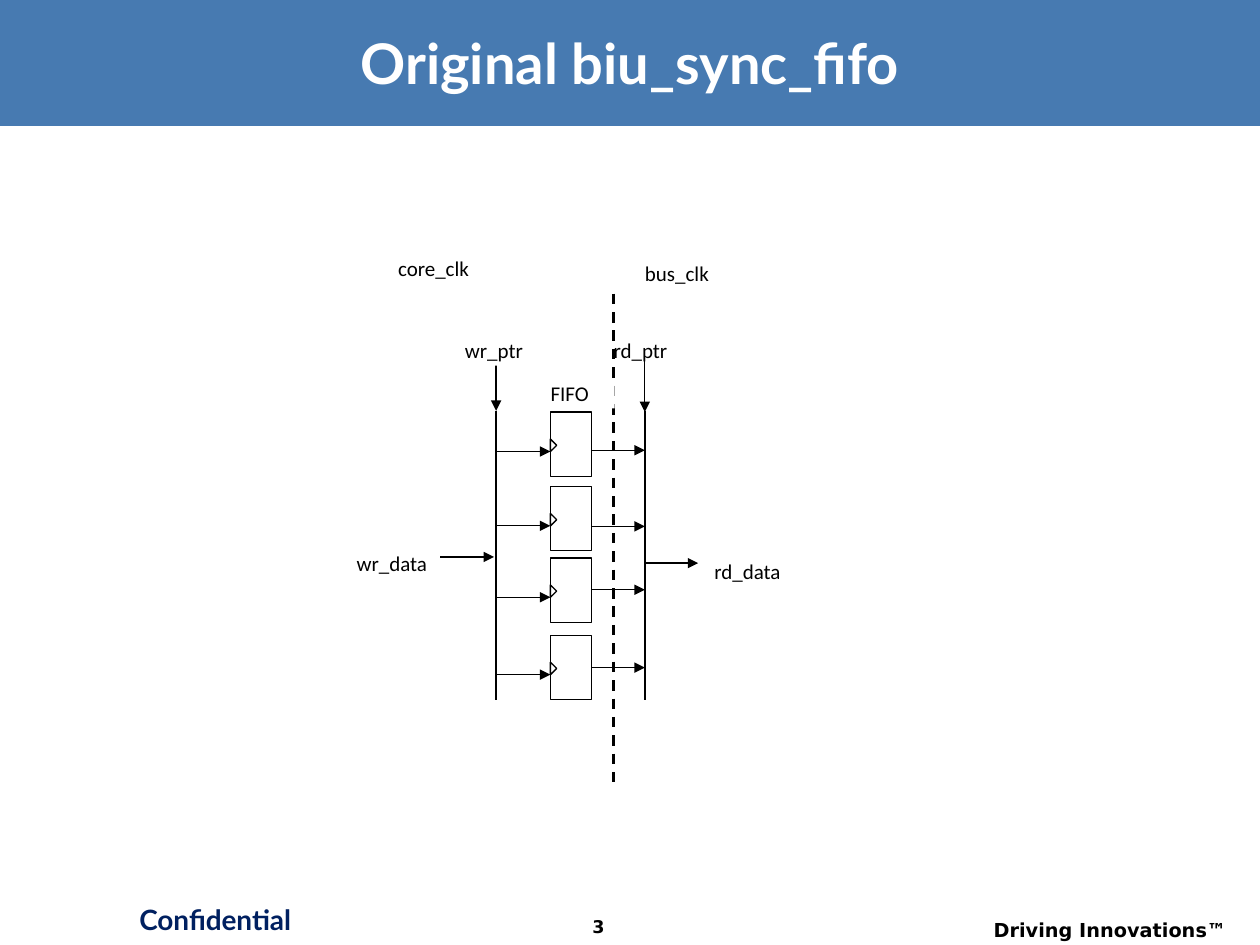
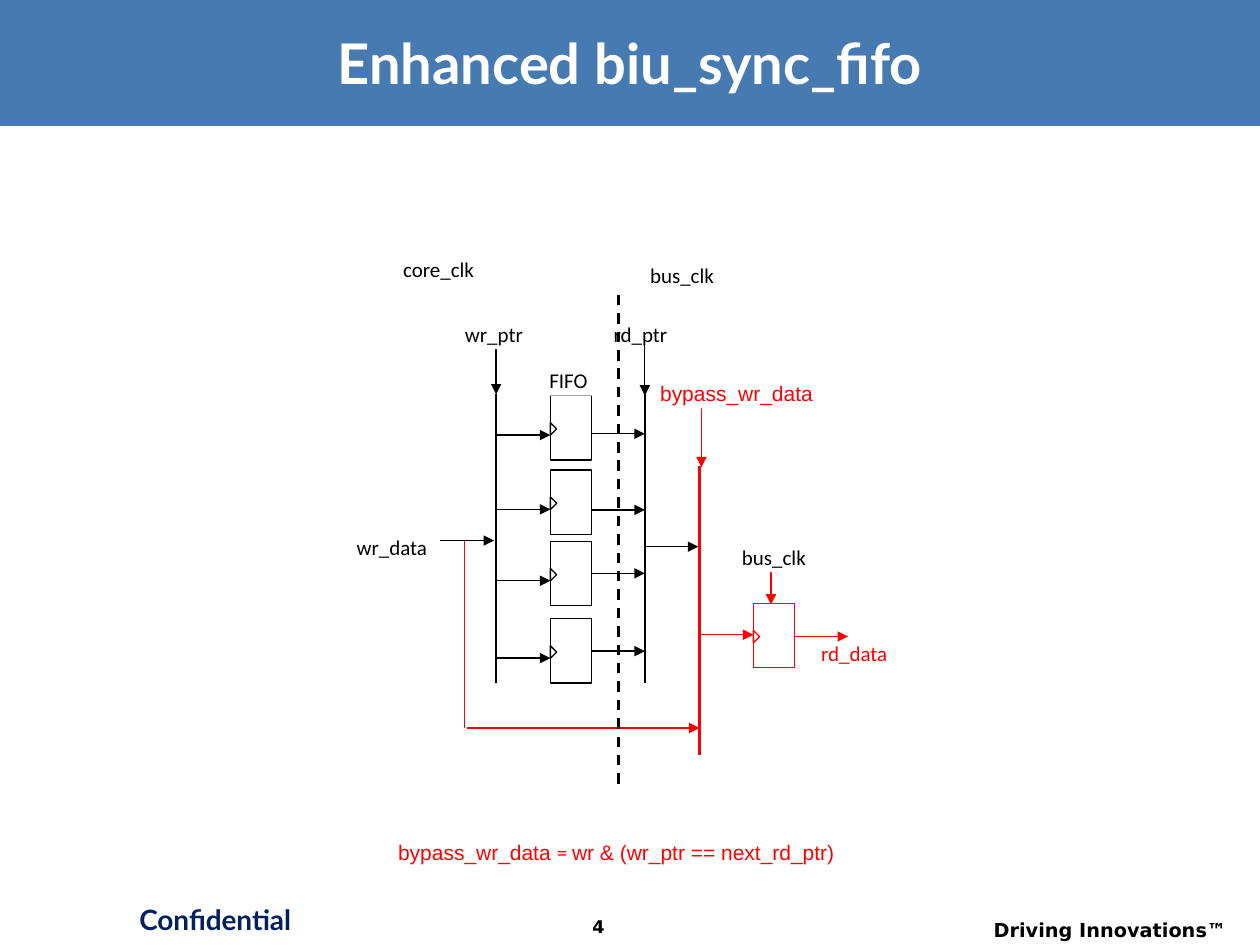
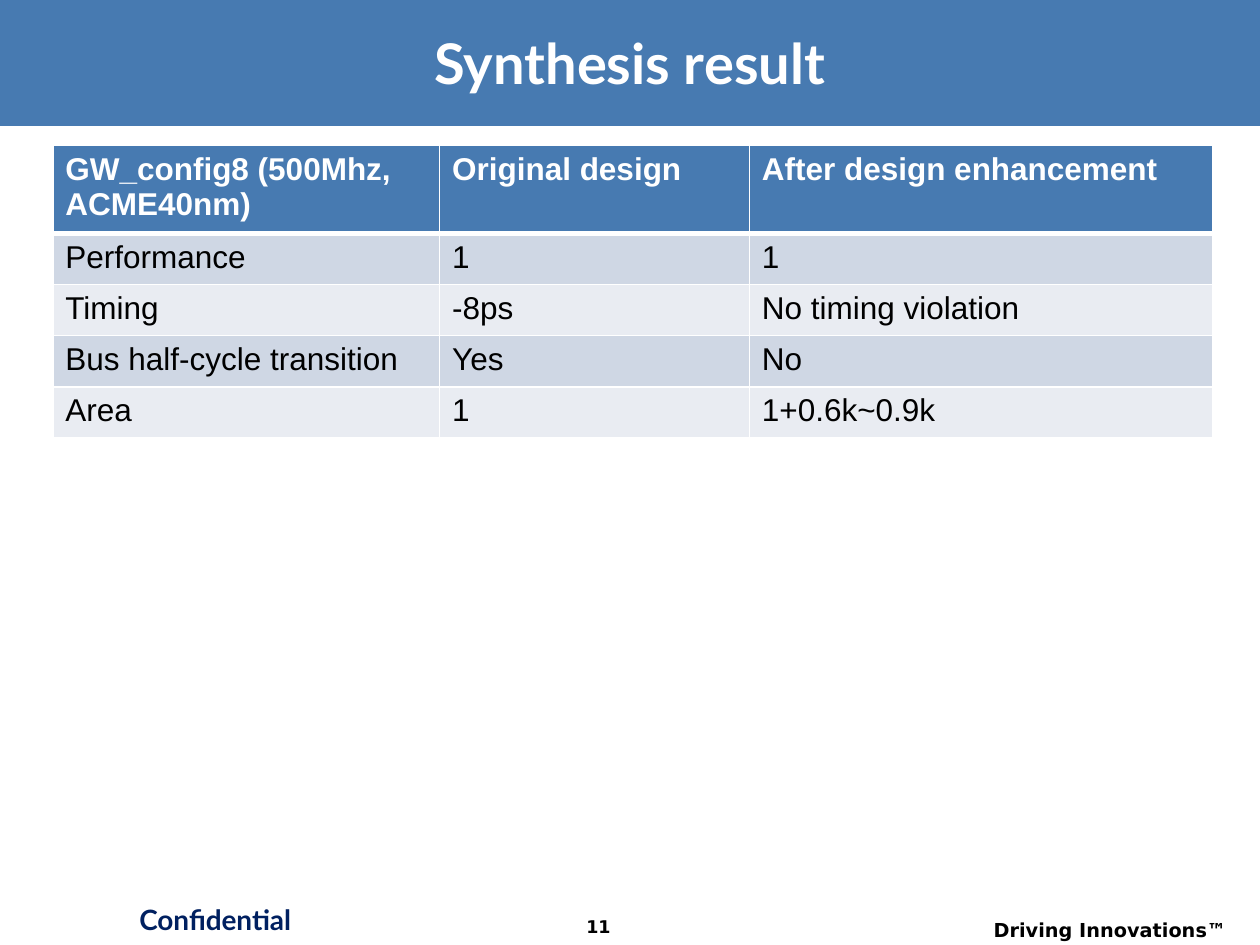
from lxml import etree
from pptx import Presentation
from pptx.dml.color import RGBColor
from pptx.enum.dml import MSO_LINE
from pptx.enum.shapes import MSO_CONNECTOR, MSO_SHAPE
from pptx.enum.text import MSO_ANCHOR, MSO_AUTO_SIZE, PP_ALIGN
from pptx.oxml import parse_xml
from pptx.util import Pt

RECT, TRIANGLE = MSO_SHAPE.RECTANGLE, MSO_SHAPE.ISOSCELES_TRIANGLE
STRAIGHT, DASH = MSO_CONNECTOR.STRAIGHT, MSO_LINE.DASH
TOP, MIDDLE = MSO_ANCHOR.TOP, MSO_ANCHOR.MIDDLE
LEFT, CENTER, RIGHT = PP_ALIGN.LEFT, PP_ALIGN.CENTER, PP_ALIGN.RIGHT
NO_FIT = MSO_AUTO_SIZE.NONE

BLUE, NAVY, WHITE, BLACK, RED = "477AB1", "002060", "FFFFFF", "000000", "FF0000"
ROW_FILLS = ("CFD7E4", "E9ECF2")
NS = "http://schemas.openxmlformats.org/drawingml/2006/main"

BAND = (0, 0, 720, 72)
TITLE = (25, 11.5, 670, 47.5)
PAGE_NUMBER = (309, 520, 66, 20)
FOOTERS = [
    ((64, 512, 118, 30), "Confidential", 16, "Lato", NAVY, CENTER),
    ((537, 521, 171, 19), "Driving Innovations™", 11, "DejaVu Sans", BLACK, RIGHT),
]

WRITE_BUS, READ_BUS, BUS_LENGTH = 283.5, 368.5, 165
CELL_X, CELL_W, CELL_H = 314.5, 23.5, 36.8
CELLS = [(0.7, 21.8), (43.2, 22.8), (84, 18.2), (128.2, 18.5)]
WRITE_DROP = 22.5

FIFO_PARTS = [
    ("line", (WRITE_BUS, 0), (WRITE_BUS, BUS_LENGTH), BLACK, 1.5),
    ("arrow", (251.5, 83.5), (282.3, 83.5)),
    ("arrow", (WRITE_BUS, -34), (WRITE_BUS, 0)),
    ("label", (265.7, -41.8), 36.7, "wr_ptr"),
    ("label", (203.8, 80), 47.5, "wr_data"),
    ("line", (READ_BUS, 0), (READ_BUS, BUS_LENGTH), BLACK, 1.5),
    ("arrow", (READ_BUS, 87), (399, 87)),
    ("label", (350.6, -41.8), 36.7, "rd_ptr"),
    ("arrow", (READ_BUS, -33), (READ_BUS, 0.7)),
]

ORIGINAL_PARTS = [
    ("label", (408.2, 319), 47.5, "rd_data"),
    ("line", (350.6, 167.8), (350.6, 447), BLACK, 1.5, DASH),
    ("label", (227.5, 146.2), 47.5, "core_clk"),
    ("label", (368.6, 149), 47.5, "bus_clk"),
    ("label", (314.6, 217.4), 36.7, "FIFO"),
]

BYPASS_BUS = 399.8
ENHANCED_PARTS = [
    ("line", (BYPASS_BUS, 266.4), (BYPASS_BUS, 431.3), RED, 1.5),
    ("arrow", (266.6, 416), (BYPASS_BUS, 416), RED),
    ("line", (265.6, 309), (265.6, 416), RED),
    ("arrow", (BYPASS_BUS, 362.7), (430.5, 362.7), RED),
    ("cell", (430.5, 344.8), RED),
    ("arrow", (400.8, 232.8), (400.8, 267), RED),
    ("label", (469.2, 365.8), 47.5, "rd_data", RED),
    ("arrow", (454, 363.7), (484.6, 363.7), RED),
    ("label", (377.2, 217.4), 92.2, "bypass_wr_data", RED, "Arial"),
    ("line", (353.5, 168.5), (353.5, 447.8), BLACK, 1.5, DASH),
    ("label", (230.4, 146.9), 47.5, "core_clk"),
    ("label", (371.5, 149.8), 47.5, "bus_clk"),
    ("label", (227.5, 479.5), 257, [
        ("bypass_wr_data ", "Arial"),
        ("= ", "Calibri"),
        ("wr & (wr_ptr == next_rd_ptr)", "Arial"),
    ], RED),
    ("label", (313.9, 210.2), 36.7, "FIFO"),
    ("arrow", (440.6, 321), (440.6, 345.5), RED),
    ("label", (424, 311), 47.5, "bus_clk"),
]

DIAGRAMS = [
    ("Original biu_sync_fifo", 3, 234.8, ORIGINAL_PARTS),
    ("Enhanced biu_sync_fifo", 4, 225.4, ENHANCED_PARTS),
]

TABLE_AT = (30.2, 83)
COLUMNS = (221, 177, 265)
HEADER_H, ROW_H = 47, 29.2
RESULTS = [
    ("GW_config8 (500Mhz, ACME40nm)", "Original design", "After design enhancement"),
    ("Performance", "1", "1"),
    ("Timing", "-8ps", "No timing violation"),
    ("Bus half-cycle transition", "Yes", "No"),
    ("Area", "1", "1+0.6k~0.9k"),
]


def pts(values):
    return [Pt(v) for v in values]


def paint(fill, color):
    fill.solid()
    fill.fore_color.rgb = RGBColor.from_string(color)


def add_run(p, text, size, font, color, bold=False):
    r = p.add_run()
    r.text = text
    r.font.size, r.font.name, r.font.bold = Pt(size), font, bold
    paint(r.font.fill, color)
    return r


def add_box(shapes, kind, at, fill, line=None):
    sp = shapes.add_shape(kind, *pts(at))
    sp.shadow.inherit = False
    paint(sp.fill, fill)
    if line:
        paint(sp.line.fill, line)
        sp.line.width = Pt(0.75)
    else:
        sp.line.fill.background()
    return sp


def add_text(s, at, text, size, font, color, align):
    sp = s.shapes.add_textbox(*pts(at))
    tf = sp.text_frame
    tf.word_wrap = True
    p = tf.paragraphs[0]
    p.alignment = align
    add_run(p, text, size, font, color, True)
    return sp


def draw_line(s, dy, start, end, color=BLACK, width=0.75, dash=None):
    (x1, y1), (x2, y2) = start, end
    c = s.shapes.add_connector(STRAIGHT, *pts((x1, y1 + dy, x2, y2 + dy)))
    paint(c.line.fill, color)
    c.line.width = Pt(width)
    if dash:
        c.line.dash_style = dash
    etree.SubElement(c.element.spPr, f"{{{NS}}}effectLst")
    return c


def draw_arrow(s, dy, start, end, color=BLACK):
    c = draw_line(s, dy, start, end, color)
    etree.SubElement(c.get_or_add_ln(), f"{{{NS}}}tailEnd", type="triangle")


def draw_label(s, dy, at, width, text, color=BLACK, font="Calibri"):
    x, y = at
    sp = add_box(s.shapes, RECT, (x, y + dy, width, 16), WHITE)
    tf = sp.text_frame
    tf.margin_left = tf.margin_top = tf.margin_right = tf.margin_bottom = 0
    tf.word_wrap, tf.vertical_anchor = True, TOP
    p = tf.paragraphs[0]
    p.alignment = LEFT
    for part, face in [(text, font)] if isinstance(text, str) else text:
        add_run(p, part, 12, face, color)


def draw_cell(s, dy, at, color=BLACK):
    x, y = at[0], at[1] + dy
    group = s.shapes.add_group_shape()
    add_box(group.shapes, RECT, (x, y, CELL_W, CELL_H), WHITE, color)
    clock = add_box(group.shapes, TRIANGLE, (x - 1.8, y + 17.2, 7.2, 3.6), WHITE, color)
    clock.rotation = 90


DRAW = {"line": draw_line, "arrow": draw_arrow, "label": draw_label, "cell": draw_cell}


def draw_parts(s, parts, dy=0):
    for kind, *args in parts:
        DRAW[kind](s, dy, *args)


def draw_fifo(s, bus_top):
    for y, read_drop in CELLS:
        draw_cell(s, bus_top, (CELL_X, y))
        for x1, x2, drop in ((WRITE_BUS, CELL_X, WRITE_DROP),
                             (CELL_X + CELL_W, READ_BUS, read_drop)):
            draw_arrow(s, bus_top, (x1, y + drop), (x2, y + drop))
    draw_parts(s, FIFO_PARTS, bus_top)


def share_furniture(s):
    tree = s.slide_layout.shapes.element
    tree.insert(2, add_box(s.shapes, RECT, BAND, BLUE).element)
    for footer in FOOTERS:
        tree.append(add_text(s, *footer).element)


def add_slide(prs, title, number):
    s = prs.slides.add_slide(prs.slide_layouts[5])
    sp = s.shapes.title
    sp.left, sp.top, sp.width, sp.height = pts(TITLE)
    tf = sp.text_frame
    tf.auto_size, tf.vertical_anchor = NO_FIT, MIDDLE
    p = tf.paragraphs[0]
    p.alignment = CENTER
    r = add_run(p, title, 32, "Lato", WHITE, True)
    shadow = parse_xml(
        f'<a:effectLst xmlns:a="{NS}"><a:outerShdw dist="38100" dir="2700000">'
        f'<a:srgbClr val="{BLACK}"/></a:outerShdw></a:effectLst>')
    r.font.fill.fore_color
    r._r.rPr.find(f"{{{NS}}}solidFill").addnext(shadow)
    add_text(s, PAGE_NUMBER, str(number), 10, "DejaVu Sans", BLACK, CENTER)
    return s


def set_borders(cell, top, bottom):
    tc_pr = cell._tc.get_or_add_tcPr()
    for side, width in (("L", 1), ("R", 1), ("T", top), ("B", bottom)):
        tc_pr.append(parse_xml(
            f'<a:ln{side} xmlns:a="{NS}" w="{Pt(width)}"><a:solidFill>'
            f'<a:srgbClr val="{WHITE}"/></a:solidFill></a:ln{side}>'))


def draw_table(s):
    heights = [HEADER_H] + [ROW_H] * (len(RESULTS) - 1)
    size = (sum(COLUMNS), sum(heights))
    table = s.shapes.add_table(len(RESULTS), len(COLUMNS), *pts(TABLE_AT + size)).table
    for column, width in zip(table.columns, COLUMNS):
        column.width = Pt(width)
    for i, (row, height, texts) in enumerate(zip(table.rows, heights, RESULTS)):
        row.height = Pt(height)
        header = i == 0
        for cell, text in zip(row.cells, texts):
            set_borders(cell, 3 if i == 1 else 1, 3 if header else 1)
            paint(cell.fill, BLUE if header else ROW_FILLS[(i - 1) % 2])
            add_run(cell.text_frame.paragraphs[0], text, 18, "Arial",
                    WHITE if header else BLACK, header)


def main():
    prs = Presentation()
    prs.slide_width, prs.slide_height = Pt(720), Pt(540)
    for title, number, bus_top, parts in DIAGRAMS:
        s = add_slide(prs, title, number)
        draw_fifo(s, bus_top)
        draw_parts(s, parts)
    s = add_slide(prs, "Synthesis result", 11)
    draw_table(s)
    share_furniture(s)
    prs.save("out.pptx")


if __name__ == "__main__":
    main()
